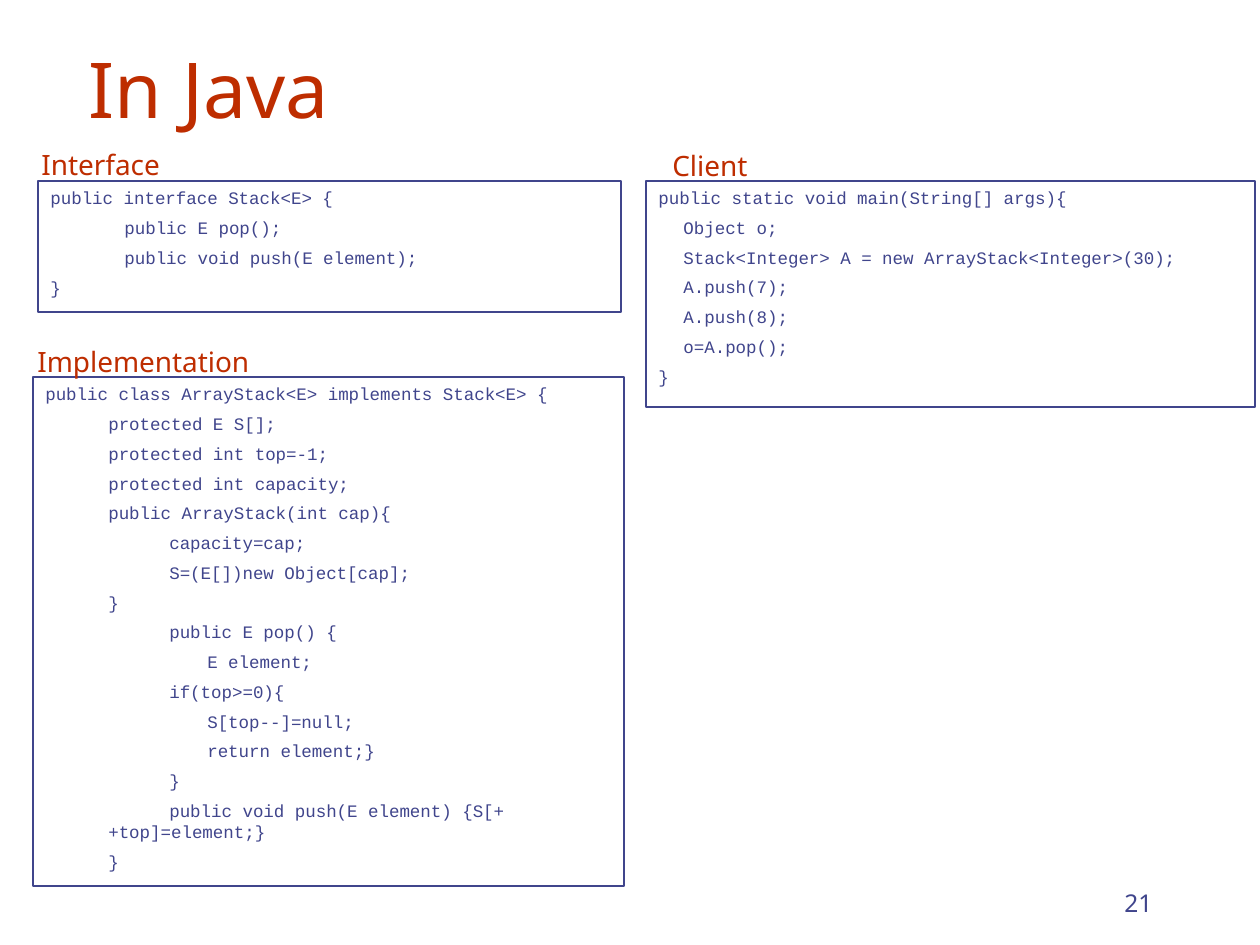
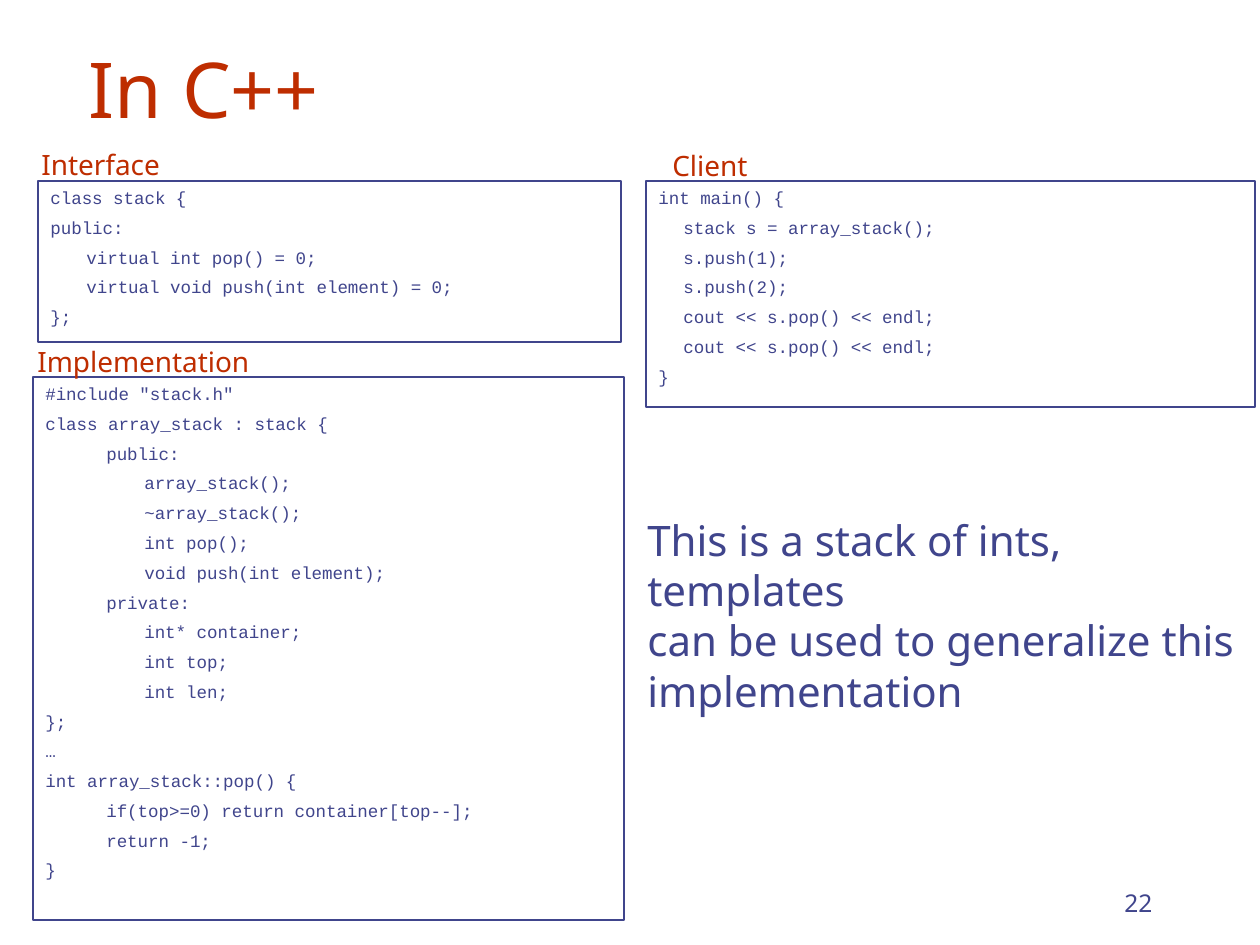
"""Build two slides that compare a stack in Java and in C++."""
from dataclasses import dataclass

from pptx import Presentation
from pptx.dml.color import RGBColor
from pptx.enum.shapes import MSO_SHAPE
from pptx.enum.text import MSO_ANCHOR, MSO_AUTO_SIZE, PP_ALIGN
from pptx.util import Emu, Inches, Pt


@dataclass(frozen=True)
class Theme:
    ink: RGBColor = RGBColor(0x40, 0x45, 0x8C)
    accent: RGBColor = RGBColor(0xBE, 0x2D, 0x00)
    paper: RGBColor = RGBColor(0xFF, 0xFF, 0xFF)
    sans: str = "Noto Sans"
    mono: str = "Courier New"
    title: int = 44
    note: int = 24
    label: int = 16
    page: int = 14
    code: int = 10
    code_gap: int = 5
    border: float = 1.5


THEME = Theme()
SCALE = 914400 / 126
TITLE_AREA = (76, 34, 1071, 106)
PAGE_AREA = (903, 861, 262, 63)
NOTE_AREA = (635, 508, 627, 165)
PANELS = {
    "Interface": {"label": (29, 141, 168, 47), "corner": (38, 181), "width": 583},
    "Implementation": {"label": (25, 338, 253, 47), "corner": (33, 377), "width": 591},
    "Client": {"label": (660, 142, 253, 47), "corner": (646, 181), "width": 609},
}

LESSONS = [
    {
        "title": "In Java",
        "page": "21",
        "listings": {
            "Interface": {"height": 131, "stops": (0, 74), "code": [
                (0, "public interface Stack<E> {"),
                (1, "public E pop();"),
                (1, "public void push(E element);"),
                (0, "}"),
            ]},
            "Implementation": {"height": 509, "stops": (0, 63, 124, 162), "code": [
                (0, "public class ArrayStack<E> implements Stack<E> {"),
                (1, "protected E S[];"),
                (1, "protected int top=-1;"),
                (1, "protected int capacity;"),
                (1, "public ArrayStack(int cap){"),
                (2, "capacity=cap;"),
                (2, "S=(E[])new Object[cap];"),
                (1, "}"),
                (2, "public E pop() {"),
                (3, "E element;"),
                (2, "if(top>=0){"),
                (3, "S[top--]=null;"),
                (3, "return element;}"),
                (2, "}"),
                (2, "public void push(E element) {S[++top]=element;}", 1),
                (1, "}"),
            ]},
            "Client": {"height": 226, "stops": (0, 25), "code": [
                (0, "public static void main(String[] args){"),
                (1, "Object o;"),
                (1, "Stack<Integer> A = new ArrayStack<Integer>(30);"),
                (1, "A.push(7);"),
                (1, "A.push(8);"),
                (1, "o=A.pop();"),
                (0, "}"),
            ]},
        },
        "note": [],
    },
    {
        "title": "In C++",
        "page": "22",
        "listings": {
            "Interface": {"height": 161, "stops": (0, 36), "code": [
                (0, "class stack {"),
                (0, "public:"),
                (1, "virtual int pop() = 0;"),
                (1, "virtual void push(int element) = 0;"),
                (0, "};"),
            ]},
            "Implementation": {"height": 543, "stops": (0, 61, 99), "code": [
                (0, '#include "stack.h"'),
                (0, "class array_stack : stack {"),
                (1, "public:"),
                (2, "array_stack();"),
                (2, "~array_stack();"),
                (2, "int pop();"),
                (2, "void push(int element);"),
                (1, "private:"),
                (2, "int* container;"),
                (2, "int top;"),
                (2, "int len;"),
                (0, "};"),
                (0, "…"),
                (0, "int array_stack::pop() {"),
                (1, "if(top>=0) return container[top--];"),
                (1, "return -1;"),
                (0, "}"),
            ]},
            "Client": {"height": 226, "stops": (0, 25), "code": [
                (0, "int main() {"),
                (1, "stack s = array_stack();"),
                (1, "s.push(1);"),
                (1, "s.push(2);"),
                (1, "cout << s.pop() << endl;"),
                (1, "cout << s.pop() << endl;"),
                (0, "}"),
            ]},
        },
        "note": [
            "This is a stack of ints, templates",
            "can be used to generalize this",
            "implementation",
        ],
    },
]


def px(length):
    return Emu(round(length * SCALE))


def area(box):
    return [px(length) for length in box]


def write(holder, lines, *, size, color=THEME.ink, font=THEME.sans,
          align=PP_ALIGN.LEFT, anchor=MSO_ANCHOR.TOP, stops=(0,), gap=0):
    frame = holder.text_frame
    frame.word_wrap = True
    frame.auto_size = MSO_AUTO_SIZE.NONE
    frame.vertical_anchor = anchor
    frame.margin_left = frame.margin_right = Inches(0.1)
    frame.margin_top = frame.margin_bottom = Inches(0.05)
    for number, (level, text, *wrap_level) in enumerate(lines):
        paragraph = frame.add_paragraph() if number else frame.paragraphs[0]
        paragraph.alignment = align
        paragraph.space_before = Pt(gap if number else 0)
        margin = stops[wrap_level[0] if wrap_level else level]
        properties = paragraph._p.get_or_add_pPr()
        properties.set("marL", str(px(margin)))
        properties.set("indent", str(px(stops[level] - margin)))
        run = paragraph.add_run()
        run.text = text
        run.font.size = Pt(size)
        run.font.name = font
        run.font.color.rgb = color


def add_panel(slide, heading, listing):
    panel = PANELS[heading]
    box = (*panel["corner"], panel["width"], listing["height"])
    code_box = slide.shapes.add_shape(MSO_SHAPE.RECTANGLE, *area(box))
    code_box.shadow.inherit = False
    code_box.fill.background()
    code_box.line.color.rgb = THEME.ink
    code_box.line.width = Pt(THEME.border)
    write(code_box, listing["code"], size=THEME.code, font=THEME.mono,
          stops=listing["stops"], gap=THEME.code_gap)
    label = slide.shapes.add_textbox(*area(panel["label"]))
    write(label, [(0, heading)], size=THEME.label, color=THEME.accent)


def add_lesson(deck, lesson):
    slide = deck.slides.add_slide(deck.slide_layouts[5])
    slide.background.fill.solid()
    slide.background.fill.fore_color.rgb = THEME.paper
    page = slide.shapes.add_textbox(*area(PAGE_AREA))
    write(page, [(0, lesson["page"])], size=THEME.page, align=PP_ALIGN.RIGHT,
          anchor=MSO_ANCHOR.BOTTOM)
    title = slide.shapes.title
    title.left, title.top, title.width, title.height = area(TITLE_AREA)
    write(title, [(0, lesson["title"])], size=THEME.title, color=THEME.accent,
          anchor=MSO_ANCHOR.BOTTOM)
    for heading, listing in lesson["listings"].items():
        add_panel(slide, heading, listing)
    if lesson["note"]:
        note = slide.shapes.add_textbox(*area(NOTE_AREA))
        write(note, [(0, text) for text in lesson["note"]], size=THEME.note)


deck = Presentation()
deck.slide_width, deck.slide_height = Inches(10), Inches(7.5)
for lesson in LESSONS:
    add_lesson(deck, lesson)
deck.save("out.pptx")
